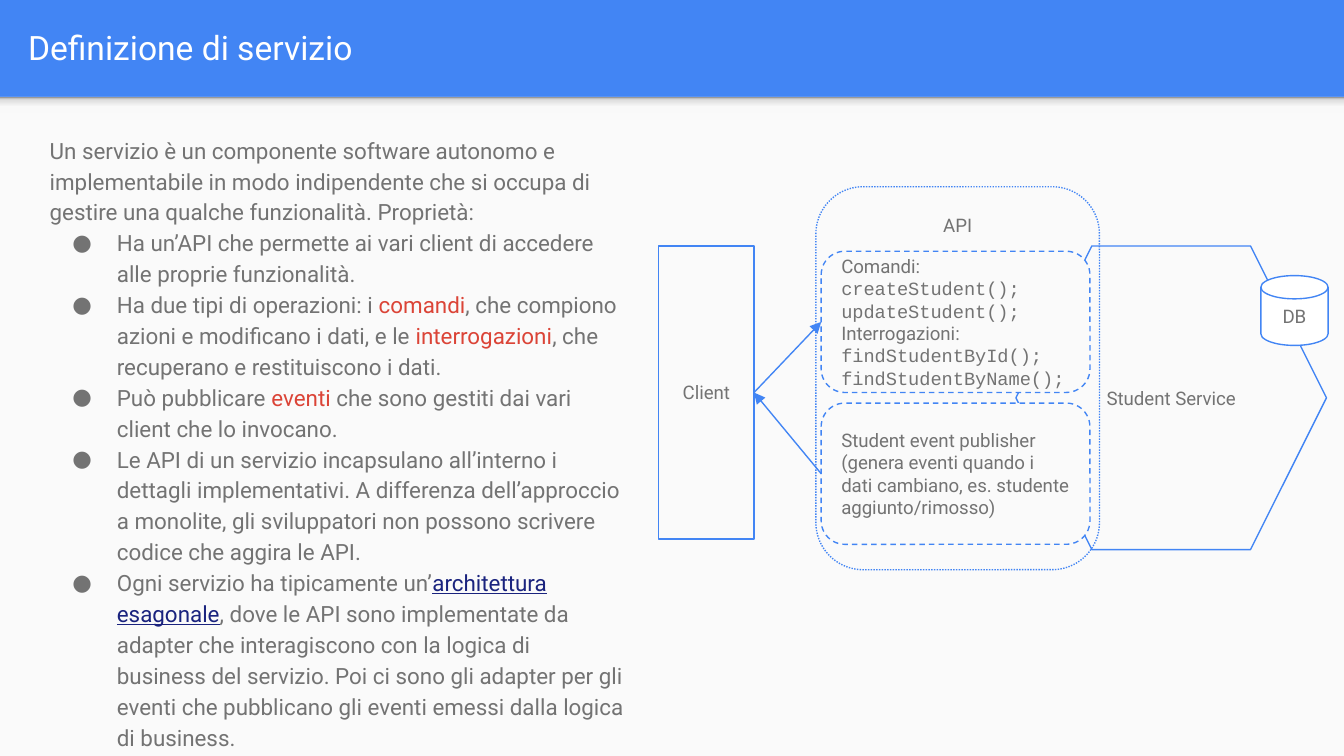
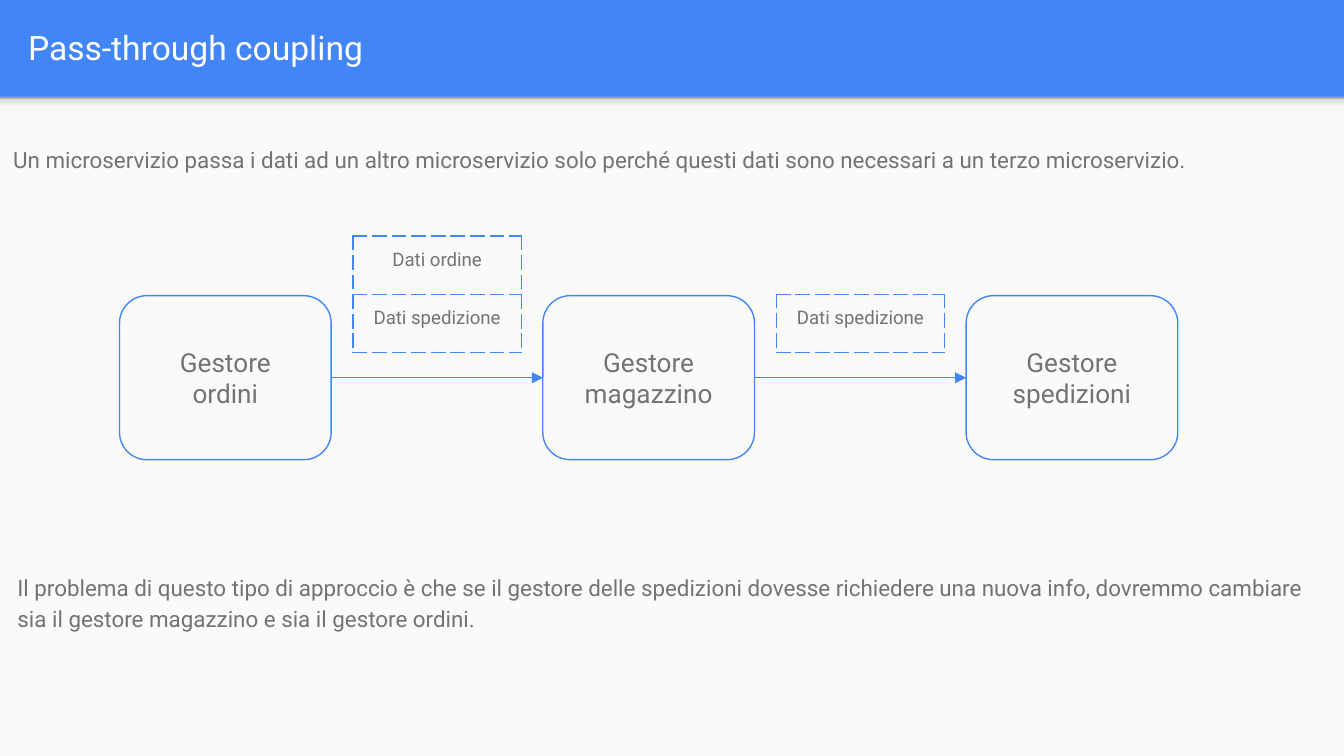
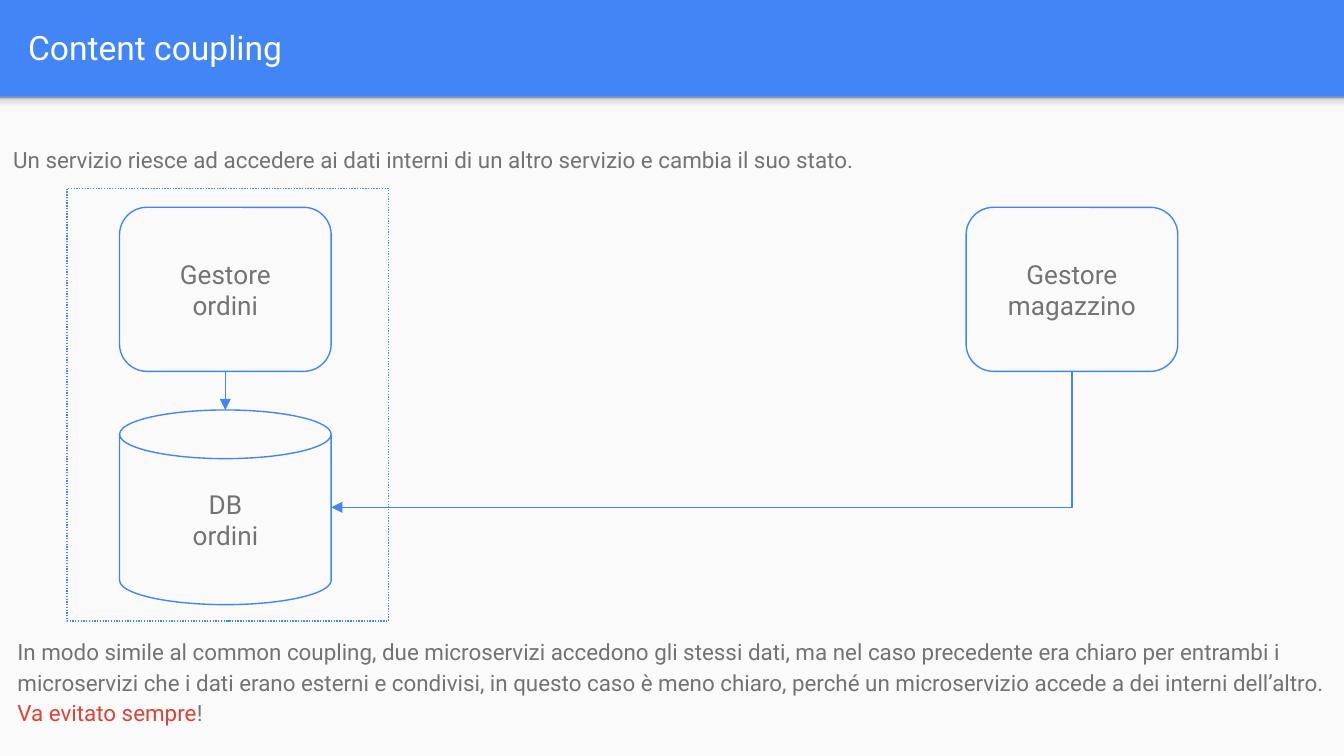
from collections import namedtuple

from lxml import etree
from pptx import Presentation
from pptx.dml.color import RGBColor
from pptx.enum.shapes import MSO_CONNECTOR, MSO_SHAPE
from pptx.enum.text import MSO_ANCHOR, PP_ALIGN
from pptx.oxml.ns import qn
from pptx.util import Cm, Pt

RECT, ROUNDED = MSO_SHAPE.RECTANGLE, MSO_SHAPE.ROUNDED_RECTANGLE
HEXAGON, CAN = MSO_SHAPE.HEXAGON, MSO_SHAPE.CAN
DISK = MSO_SHAPE.FLOWCHART_MAGNETIC_DISK
STRAIGHT, ELBOW = MSO_CONNECTOR.STRAIGHT, MSO_CONNECTOR.ELBOW
TOP, MIDDLE = MSO_ANCHOR.TOP, MSO_ANCHOR.MIDDLE
LEFT, CENTER = PP_ALIGN.LEFT, PP_ALIGN.CENTER
TOP_SIDE, LEFT_SIDE, BOTTOM_SIDE, RIGHT_SIDE = range(4)

BLUE, PAPER, WHITE = "4285F4", "FAFAFA", "FFFFFF"
GREY, RED, LINK = "737373", "DB4437", "1A237E"
SHADE_STOPS = [(0, "F9F9F9"), (36, "F9F9F9"), (80, "DEDEDE"), (100, "999999")]
SANS, MONO = "Roboto", "Courier New"
PAGE_WIDTH, PAGE_HEIGHT, HEADER_HEIGHT = 25.4, 14.29, 1.83
INSET, LINE_WIDTH = 0.25, 0.75
CARD_WIDTH, CARD_HEIGHT, CARD_STEP = 4, 3.1, 8
ROW_HEIGHT = 1.1

Box = namedtuple("Box", "left top width height")

DEFINITION = [
    "Un servizio è un componente software autonomo e implementabile in modo indipendente "
    "che si occupa di gestire una qualche funzionalità. Proprietà:",
    "Ha un’API che permette ai vari client di accedere alle proprie funzionalità.",
    ["Ha due tipi di operazioni: i ", ("comandi", RED),
     ", che compiono azioni e modificano i dati, e le ", ("interrogazioni", RED),
     ", che recuperano e restituiscono i dati."],
    ["Può pubblicare ", ("eventi", RED), " che sono gestiti dai vari client che lo invocano."],
    "Le API di un servizio incapsulano all’interno i dettagli implementativi. A differenza "
    "dell’approccio a monolite, gli sviluppatori non possono scrivere codice che aggira le API.",
    ["Ogni servizio ha tipicamente un’", ("architettura esagonale", LINK),
     ", dove le API sono implementate da adapter che interagiscono con la logica di business "
     "del servizio. Poi ci sono gli adapter per gli eventi che pubblicano gli eventi emessi "
     "dalla logica di business."],
]
OPERATIONS = ["Comandi:", "createStudent();", "updateStudent();",
              "Interrogazioni:", "findStudentById();", "findStudentByName();"]
PUBLISHER = ("Student event publisher (genera eventi quando i dati cambiano, "
             "es. studente aggiunto/rimosso)")
PASS_INTRO = ("Un microservizio passa i dati ad un altro microservizio solo perché "
              "questi dati sono necessari a un terzo microservizio.")
PASS_PROBLEM = ("Il problema di questo tipo di approccio è che se il gestore delle spedizioni "
                "dovesse richiedere una nuova info, dovremmo cambiare sia il gestore magazzino "
                "e sia il gestore ordini.")
CONTENT_INTRO = ("Un servizio riesce ad accedere ai dati interni di un altro servizio "
                 "e cambia il suo stato.")
CONTENT_PROBLEM = [
    "In modo simile al common coupling, due microservizi accedono gli stessi dati, ma nel caso "
    "precedente era chiaro per entrambi i microservizi che i dati erano esterni e condivisi, in "
    "questo caso è meno chiaro, perché un microservizio accede a dei interni dell’altro.",
    [("Va evitato sempre", RED), "!"],
]


def rgb(code):
    """Turn a hex string into a colour."""
    return RGBColor.from_string(code)


def lengths(box):
    """Convert a box in centimetres to slide lengths."""
    return [Cm(value) for value in box]


def inside(box, left, top, width, height):
    """Return a box placed relative to the corner of another one."""
    return Box(box.left + left, box.top + top, width, height)


def add_node(parent, tag, **attributes):
    """Append a drawing element to a parent element."""
    return etree.SubElement(parent, qn(tag), attributes)


def add_colour(parent, code):
    """Append a hex colour element."""
    add_node(parent, "a:srgbClr", val=code)


def style_line(line, element, dash=None):
    """Draw a thin blue line with an optional dash."""
    line.color.rgb = rgb(BLUE)
    line.width = Pt(LINE_WIDTH)
    outline = element.spPr.find(qn("a:ln"))
    if dash:
        add_node(outline, "a:prstDash", val=dash)
    return outline


def write(frame, paras, size, align=LEFT, anchor=TOP, colour=GREY, spacing=None):
    """Fill a text frame with paragraphs made of plain or coloured spans."""
    frame.word_wrap = True
    frame.vertical_anchor = anchor
    frame.margin_left = frame.margin_right = Cm(INSET)
    frame.margin_top = frame.margin_bottom = Cm(INSET)
    for index, content in enumerate([paras] if isinstance(paras, str) else paras):
        para = frame.paragraphs[0] if index == 0 else frame.add_paragraph()
        para.alignment = align
        if spacing:
            para.line_spacing = spacing
        for part in [content] if isinstance(content, str) else content:
            text, shade = (part, colour) if isinstance(part, str) else part
            span = para.add_run()
            span.text = text
            span.font.name = SANS
            span.font.size = Pt(size)
            span.font.color.rgb = rgb(shade)
            if shade == LINK:
                span.font.underline = True


def add_bullet(para):
    """Give a paragraph a round bullet and a hanging indent."""
    properties = para._p.get_or_add_pPr()
    properties.set("marL", str(Cm(1.27)))
    properties.set("indent", str(-Cm(0.84)))
    add_colour(add_node(properties, "a:buClr"), GREY)
    add_node(properties, "a:buFont", typeface=SANS)
    add_node(properties, "a:buChar", char="●")


def add_text(page, box, paras):
    """Add a block of running text."""
    frame = page.shapes.add_textbox(*lengths(box)).text_frame
    write(frame, paras, 12, spacing=1.15)
    return frame


def add_figure(page, kind, box, paras="", size=10, fill=None, dash=None,
               align=CENTER, anchor=MIDDLE):
    """Add an outlined shape with its label."""
    shape = page.shapes.add_shape(kind, *lengths(box))
    shape.shadow.inherit = False
    if fill:
        shape.fill.solid()
        shape.fill.fore_color.rgb = rgb(fill)
    else:
        shape.fill.background()
    style_line(shape.line, shape.element, dash)
    if paras:
        write(shape.text_frame, paras, size, align, anchor)
    return shape


def add_card(page, area, left, top, paras):
    """Add a rounded service card."""
    return add_figure(page, ROUNDED, inside(area, left, top, CARD_WIDTH, CARD_HEIGHT), paras, 14)


def style_arrow(connector):
    """Give a connector a blue line, an arrowhead and no shadow."""
    outline = style_line(connector.line, connector.element)
    add_node(outline, "a:tailEnd", type="triangle")
    add_node(connector.element.spPr, "a:effectLst")


def join(page, start, start_side, end, end_side):
    """Draw a straight arrow between the sides of two shapes."""
    arrow = page.shapes.add_connector(STRAIGHT, 0, 0, 0, 0)
    arrow.begin_connect(start, start_side)
    arrow.end_connect(end, end_side)
    style_arrow(arrow)


def add_corner_arrow(page, start_x, start_y, end_x, end_y):
    """Draw an arrow that goes down and then turns left."""
    run, drop = start_x - end_x, end_y - start_y
    left = (start_x + end_x - drop) // 2
    top = (start_y + end_y - run) // 2
    arrow = page.shapes.add_connector(ELBOW, left, top, left + drop, top + run)
    arrow.element.spPr.find(qn("a:xfrm")).set("rot", "5400000")
    arrow.element.spPr.find(qn("a:prstGeom")).set("prst", "bentConnector2")
    style_arrow(arrow)


def add_data_table(page, left, bottom, width, labels):
    """Add a one-column dashed table that ends at the given height."""
    height = ROW_HEIGHT * len(labels)
    box = Box(left, bottom - height, width, height)
    table = page.shapes.add_table(len(labels), 1, *lengths(box)).table
    table.first_row = table.horz_banding = False
    for row, label in zip(table.rows, labels):
        cell = row.cells[0]
        write(cell.text_frame, label, 10, CENTER)
        cell.margin_left = cell.margin_right = Cm(INSET)
        cell.margin_top = cell.margin_bottom = Cm(INSET)
        cell.vertical_anchor = TOP
        properties = cell._tc.get_or_add_tcPr()
        for side in "LRTB":
            border = add_node(properties, "a:ln" + side, w=str(Pt(LINE_WIDTH)))
            add_colour(add_node(border, "a:solidFill"), BLUE)
            add_node(border, "a:prstDash", val="dash")
        cell.fill.background()


def add_page(deck, title):
    """Add a slide with its title in the blue header."""
    page = deck.slides.add_slide(deck.slide_layouts[5])
    holder = page.shapes.title
    holder.left, holder.top, holder.width, holder.height = lengths(Box(0.28, 0.05, 24.51, 1.68))
    write(holder.text_frame, title, 18, anchor=MIDDLE, colour=WHITE)
    return page


def dress_layout(layout, page):
    """Move the paper panel and the shade under the header to the layout."""
    layout.background.fill.solid()
    layout.background.fill.fore_color.rgb = rgb(BLUE)
    for height in (PAGE_HEIGHT - HEADER_HEIGHT, 0.3):
        box = Box(0, HEADER_HEIGHT, PAGE_WIDTH, height)
        shape = add_figure(page, RECT, box, fill=PAPER)
        shape.line.fill.background()
        layout.shapes.element.append(shape.element)
    shape.fill.gradient()
    shape.fill.gradient_angle = 90
    stops = shape.element.spPr.find(".//" + qn("a:gsLst"))
    stops.clear()
    for place, code in SHADE_STOPS:
        add_colour(add_node(stops, "a:gs", pos=str(place * 1000)), code)


def draw_service(page, area):
    """Draw the client, the API and the hexagonal service."""
    add_figure(page, ROUNDED, inside(area, 2.97, 0, 5.36, area.height), "API",
               dash="sysDot", anchor=TOP)
    add_figure(page, HEXAGON, inside(area, 6.75, 1.12, 5.87, 5.74), "Student Service")
    operations, publisher = [
        add_figure(page, ROUNDED, inside(area, 3.07, 1.22 + 2.87 * index, 5.08, 2.67), paras,
                   fill=PAPER, dash="dash", align=LEFT)
        for index, paras in enumerate([OPERATIONS, PUBLISHER])]
    for para in operations.text_frame.paragraphs:
        if para.text.endswith("();"):
            para.runs[0].font.name = MONO
    client = add_figure(page, RECT, inside(area, 0, 1.12, 1.8, 5.54), "Client")
    join(page, client, RIGHT_SIDE, operations, LEFT_SIDE)
    join(page, publisher, LEFT_SIDE, client, RIGHT_SIDE)
    add_figure(page, DISK, inside(area, 11.38, 1.68, 1.27, 1.32), "DB", fill=WHITE)


def draw_pass_through(page, area):
    """Draw the row of services and the data handed from one to the next."""
    labels = [["Gestore", "ordini"], "Gestore magazzino", "Gestore spedizioni"]
    cards = [add_card(page, area, CARD_STEP * index, 0, label)
             for index, label in enumerate(labels)]
    for start, end in zip(cards, cards[1:]):
        join(page, start, RIGHT_SIDE, end, LEFT_SIDE)
    handed = [["Dati ordine", "Dati spedizione"], ["Dati spedizione"]]
    for index, rows in enumerate(handed):
        left = area.left + CARD_STEP * index + CARD_WIDTH + 0.41
        add_data_table(page, left, area.top + 1.07, 3.18, rows)


def draw_content_coupling(page, area):
    """Draw the order service with its database and the intruding service."""
    margin = 0.99
    orders = add_card(page, area, margin, 0.36, ["Gestore", "ordini"])
    warehouse = add_card(page, area, margin + 2 * CARD_STEP, 0.36, "Gestore magazzino")
    database = add_figure(page, CAN, inside(area, margin, 4.19, CARD_WIDTH, 3.68),
                          ["DB", "ordini"], 14)
    add_corner_arrow(page, warehouse.left + warehouse.width // 2,
                     warehouse.top + warehouse.height,
                     database.left + database.width, database.top + database.height // 2)
    middle = database.left + database.width // 2
    arrow = page.shapes.add_connector(STRAIGHT, middle, 0, middle, database.top)
    arrow.begin_connect(orders, BOTTOM_SIDE)
    style_arrow(arrow)
    add_figure(page, RECT, inside(area, 0, 0, 6.07, area.height), dash="sysDot")


def add_coupling_page(deck, title, intro, problem, problem_box, draw, area):
    """Add a slide with an introduction, a diagram and a closing remark."""
    page = add_page(deck, title)
    add_text(page, Box(0, 2.44, 25.25, 1.02), intro)
    draw(page, area)
    add_text(page, problem_box, problem)


def main():
    """Build and save the deck."""
    deck = Presentation()
    deck.slide_width, deck.slide_height = Cm(PAGE_WIDTH), Cm(PAGE_HEIGHT)
    page = add_page(deck, "Definizione di servizio")
    dress_layout(deck.slide_layouts[5], page)
    frame = add_text(page, Box(0.69, 2.26, 11.38, 11.53), DEFINITION)
    for para in frame.paragraphs[1:]:
        add_bullet(para)
    draw_service(page, Box(12.45, 3.53, 12.65, 7.24))
    add_coupling_page(deck, "Pass-through coupling", PASS_INTRO, PASS_PROBLEM,
                      Box(0.08, 10.52, 25.25, 1.63), draw_pass_through,
                      Box(2.26, 5.59, 20, CARD_HEIGHT))
    add_coupling_page(deck, "Content coupling", CONTENT_INTRO, CONTENT_PROBLEM,
                      Box(0.08, 11.73, 25.25, 2.21), draw_content_coupling,
                      Box(1.27, 3.56, 20.98, 8.18))
    deck.save("out.pptx")


if __name__ == "__main__":
    main()
